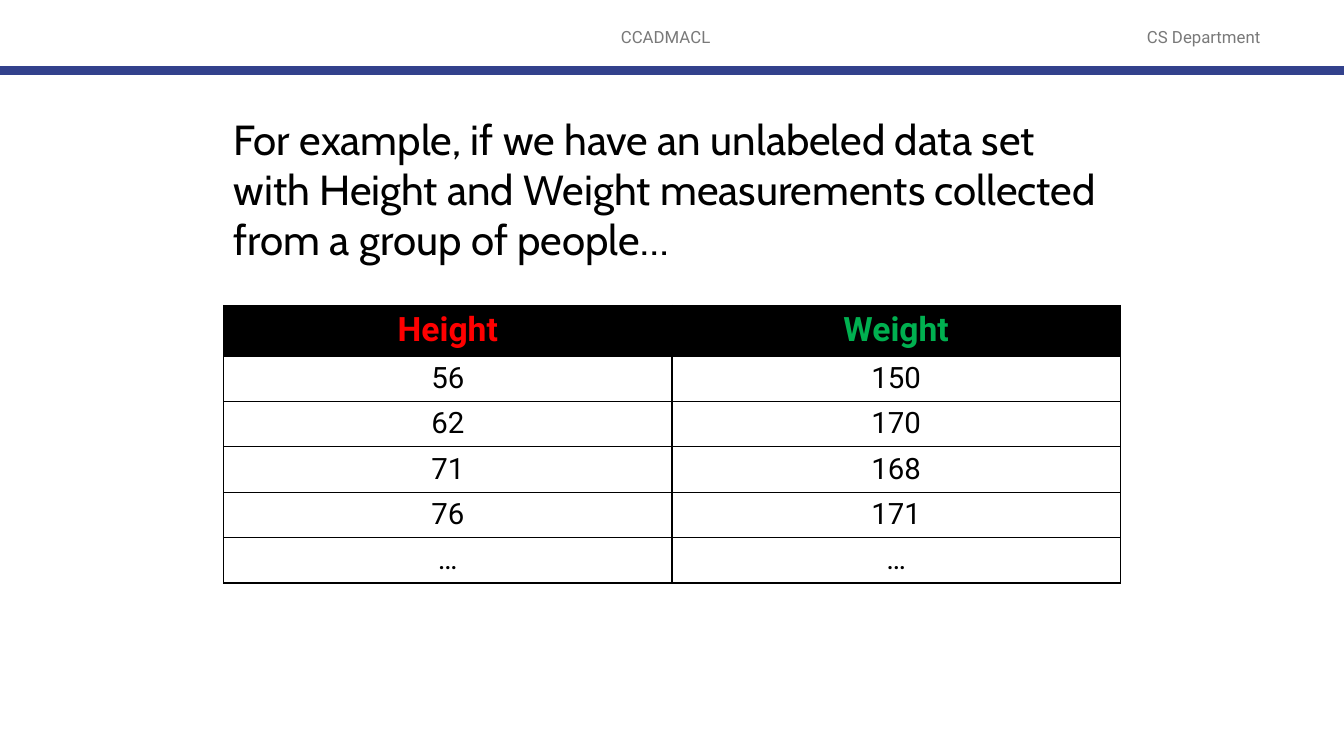
from lxml import etree
from pptx import Presentation
from pptx import util as u
from pptx.dml.color import RGBColor
from pptx.enum import shapes, text
from pptx.oxml.ns import qn

PX = 9525
ROWS = [("Height", "Weight"), ("56", "150"), ("62", "170"),
        ("71", "168"), ("76", "171"), ("…", "…")]


def px(*lengths):
    """Turn px lengths into EMU."""
    return [u.Emu(n * PX) for n in lengths]


def color(hex_value):
    """Turn a hex string into a colour."""
    return RGBColor.from_string(hex_value)


def style(p, font, size, hex_value, align, bold=False):
    """Set the alignment and font of a paragraph."""
    p.alignment = align
    p.font.name = font
    p.font.size = u.Pt(size)
    p.font.bold = bold
    p.font.color.rgb = color(hex_value)


def add_label(s, box, label):
    """Add one grey label of the header."""
    tf = s.shapes.add_textbox(*px(*box)).text_frame
    tf.word_wrap = True
    tf.vertical_anchor = text.MSO_ANCHOR.MIDDLE
    tf.text = label
    style(tf.paragraphs[0], "Roboto", 12, "797979", text.PP_ALIGN.CENTER)


def add_header(s, box):
    """Add the header labels above a full-width rule."""
    x, y, w, h = box
    add_label(s, (x + 418, y + 16, 432, 38), "CCADMACL")
    add_label(s, (x + 1048, y + 16, 197, 38), "CS Department")
    rule = s.shapes.add_connector(shapes.MSO_CONNECTOR.STRAIGHT,
                                  *px(x, y + h, x + w, y + h))
    rule.line.color.rgb = color("32418C")
    rule.line.width = u.Pt(6)
    etree.SubElement(rule._element.spPr, qn("a:effectLst"))


def add_title(s, box, title):
    """Place the title placeholder and fill it."""
    sp = s.shapes.title
    sp.left, sp.top, sp.width, sp.height = px(*box)
    tf = sp.text_frame
    tf.word_wrap = True
    tf.auto_size = text.MSO_AUTO_SIZE.NONE
    tf.vertical_anchor = text.MSO_ANCHOR.TOP
    tf.text = title
    style(tf.paragraphs[0], "Cabin", 30, "000000", text.PP_ALIGN.LEFT)


def add_borders(cell, hex_value, width):
    """Draw a line on each side of a cell, ahead of its fill."""
    tc_pr = cell._tc.get_or_add_tcPr()
    for i, side in enumerate(("lnL", "lnR", "lnT", "lnB")):
        ln = etree.Element(qn(f"a:{side}"), w=str(u.Pt(width)))
        fill = etree.SubElement(ln, qn("a:solidFill"))
        etree.SubElement(fill, qn("a:srgbClr"), val=hex_value)
        tc_pr.insert(i, ln)


def add_measurements(s, box, rows):
    """Add the table with a black header row."""
    x, y, w, h = box
    frame = s.shapes.add_table(len(rows), len(rows[0]), *px(x, y, w, h))
    table = frame.table
    table.horz_banding = False
    for r, values in enumerate(rows):
        table.rows[r].height = px(42 if r else 47)[0]
        for c, value in enumerate(values):
            cell = table.cell(r, c)
            cell.text = value
            p = cell.text_frame.paragraphs[0]
            if r:
                cell.fill.background()
                style(p, "Roboto", 21, "000000", text.PP_ALIGN.CENTER)
            else:
                cell.fill.solid()
                cell.fill.fore_color.rgb = color("000000")
                style(p, "Roboto", 24, ("FF0000", "00B050")[c],
                      text.PP_ALIGN.CENTER, bold=True)
            add_borders(cell, "000000", 1)


def main():
    """Build and save the slide."""
    prs = Presentation()
    prs.slide_width, prs.slide_height = px(1280, 720)
    s = prs.slides.add_slide(prs.slide_layouts[5])
    add_header(s, (0, 0, 1280, 67))
    add_title(s, (213, 103, 854, 156),
              "For example, if we have an unlabeled data set with Height and "
              "Weight measurements collected from a group of people…")
    add_measurements(s, (213, 291, 854, 257), ROWS)
    prs.save("out.pptx")


if __name__ == "__main__":
    main()
